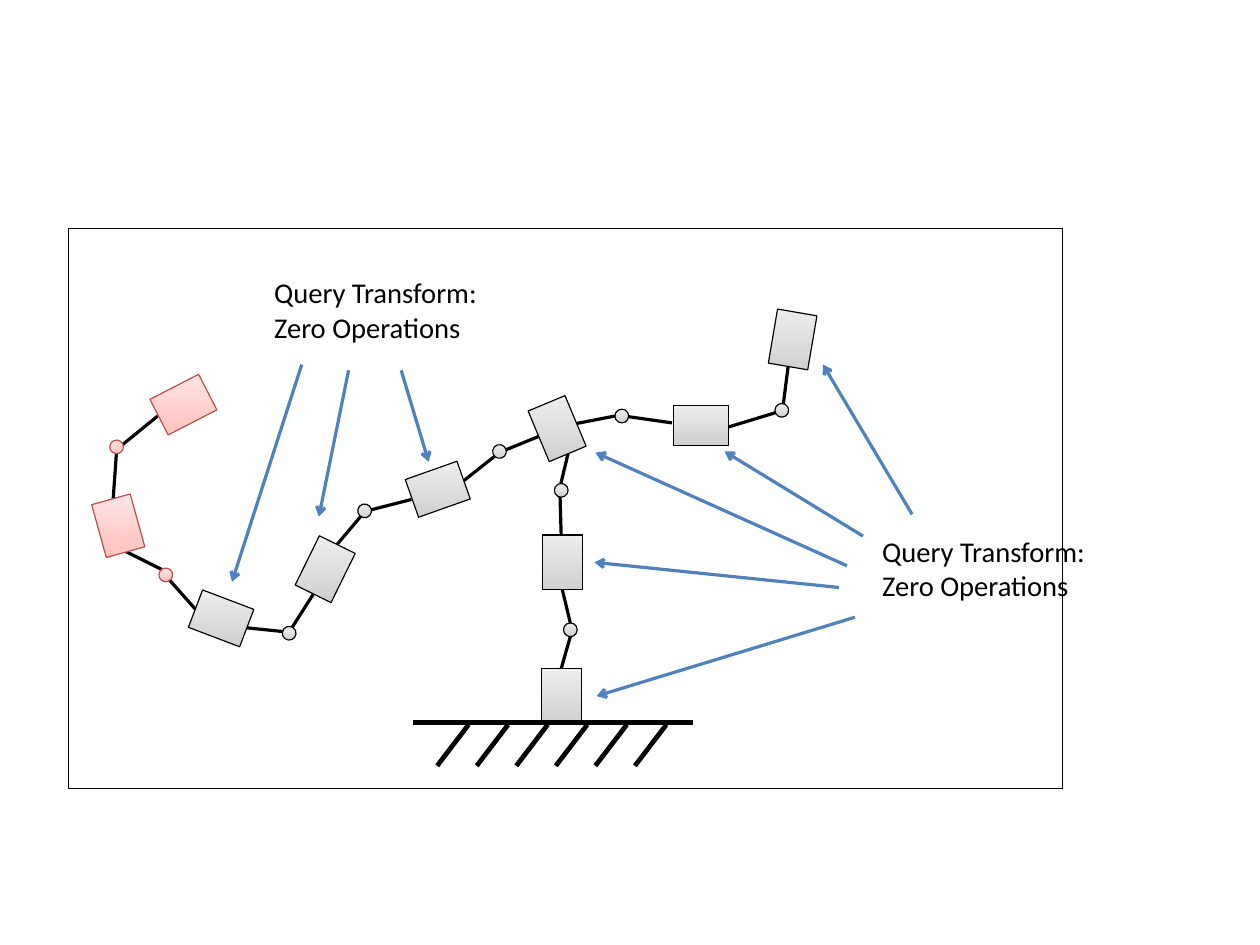
"""Build a slide of a jointed robot arm with its query transform costs."""
from lxml import etree
from pptx import Presentation
from pptx import util as u
from pptx.dml.color import RGBColor
from pptx.enum import shapes, text
from pptx.oxml.ns import qn

WIDE, HIGH = u.Cm(28), u.Cm(21)
FRAME = (6, 20, 87, 49)
BOX, JOINT = (3.5, 4.8), (1.2, 1.2)
HEX = {"ink": "000000", "blue": "4F81BD"}
TONES = {
    "gray": ("D0D0D0", "EDEDED", "000000"),
    "red": ("FFC1BE", "FFE5E5", "BE4B48"),
}
LINES = ("Query Transform:", "Zero Operations")
NOTES = [(76.2, 46.2, 20.5, 13), (23, 23.6, 24.2, 7)]

BOXES = {
    "gray": [
        (49.1, 60.9, 0), (49.2, 49.2, 0), (48.75, 37.5, 337.3),
        (38.3, 42.8, 250.5), (28.45, 49.8, 206.2), (19.35, 54.1, 290.8),
        (61.3, 37.2, 90), (69.35, 29.7, 9.7),
    ],
    "red": [(10.35, 46, 344.5), (16.05, 35.4, 242.8)],
}
JOINTS = {
    "gray": [
        (49.9, 55.1, 0), (49.1, 42.9, 0), (43.7, 39.5, 312.7),
        (31.9, 44.7, 312.7), (25.3, 55.4, 277.2), (54.4, 36.4, 0),
        (68.4, 35.9, 0),
    ],
    "red": [(14.5, 50.3, 277.2), (10.2, 39.1, 277.2)],
}
LINKS = [
    (69, 31.7, 68.5, 35.6), (68.2, 36, 63.6, 37.4),
    (58.8, 37, 54.6, 36.4), (53.8, 36.4, 50.2, 37.1),
    (49.7, 39.7, 49, 42.6), (49.1, 58.5, 49.9, 55.7),
    (49.2, 51.6, 49.9, 54.5), (49.1, 46.9, 49, 43.5),
    (47.1, 38.2, 43.9, 39.5), (31.8, 44.9, 29.1, 48.1),
    (43.3, 39.9, 40.4, 42.2), (36, 43.7, 32.1, 44.7),
    (27.4, 52, 25.3, 55.3), (13.8, 36.4, 10.6, 39),
    (10.2, 39.5, 9.9, 43.7), (10.9, 48.2, 14.3, 49.9),
    (21.3, 54.9, 25.2, 55.3), (14.7, 50.6, 17.1, 53.3),
]
ARROWS = [
    (79.8, 45, 72, 31.9), (75.5, 46.9, 63.4, 39.5),
    (74.1, 49.5, 52.1, 39.6), (73.4, 51.4, 52, 49.2),
    (74.8, 54, 52.2, 60.9), (26.4, 31.9, 20.3, 50.9),
    (30.5, 32.4, 27.9, 45.2), (35.1, 32.4, 37.5, 40.4),
]
GROUND = (36.1, 63.2, 60.6, 63.2)
HATCH = {"count": 6, "left": 41, "step": 3.46, "top": 63.4, "wide": 2.75, "high": 3.6}


def cells(*spans):
    """Turn grid cells of a tenth of an inch into slide lengths."""
    return [u.Inches(span / 10) for span in spans]


def draw_line(slide, ends, tint, width, arrow=False):
    """Draw one straight line, with an arrowhead at its end if asked."""
    line = slide.shapes.add_connector(shapes.MSO_CONNECTOR.STRAIGHT, *cells(*ends))
    line.line.color.rgb = RGBColor.from_string(HEX[tint])
    line.line.width = u.Pt(width)
    props = line._element.spPr
    if arrow:
        etree.SubElement(props.find(qn("a:ln")), qn("a:tailEnd"), type="arrow")
    etree.SubElement(props, qn("a:effectLst"))


def draw_shape(slide, kind, area, edge):
    """Add an outlined shape without a shadow."""
    shape = slide.shapes.add_shape(kind, *cells(*area))
    shape.shadow.inherit = False
    shape.line.color.rgb = RGBColor.from_string(edge)
    shape.line.width = u.Pt(0.75)
    return shape


def draw_part(slide, kind, size, tone, x, y, turn):
    """Add an arm part about its centre, shaded from the bottom up."""
    wide, high = size
    *shades, edge = TONES[tone]
    part = draw_shape(slide, kind, (x - wide / 2, y - high / 2, wide, high), edge)
    part.rotation = turn
    part.fill.gradient()
    part.fill.gradient_angle = (90 + turn) % 360
    for stop, shade in zip(part.fill.gradient_stops, shades):
        stop.color.rgb = RGBColor.from_string(shade)


def add_note(slide, area):
    """Add the two-line cost label."""
    frame = slide.shapes.add_textbox(*cells(*area)).text_frame
    frame.word_wrap = True
    frame.vertical_anchor = text.MSO_ANCHOR.TOP
    for row, words in enumerate(LINES):
        para = frame.add_paragraph() if row else frame.paragraphs[0]
        run = para.add_run()
        run.text = words
        run.font.name = "Calibri"
        run.font.size = u.Pt(18)
        run.font.color.rgb = RGBColor.from_string(HEX["ink"])


def main():
    """Compose and save the slide."""
    deck = Presentation()
    deck.slide_width, deck.slide_height = WIDE, HIGH
    slide = deck.slides.add_slide(deck.slide_layouts[6])
    kinds = shapes.MSO_SHAPE
    draw_shape(slide, kinds.RECTANGLE, FRAME, HEX["ink"]).fill.background()

    for link in LINKS:
        draw_line(slide, link, "ink", 2)
    for kind, size, groups in (
        (kinds.RECTANGLE, BOX, BOXES),
        (kinds.OVAL, JOINT, JOINTS),
    ):
        for tone, spots in groups.items():
            for spot in spots:
                draw_part(slide, kind, size, tone, *spot)

    draw_line(slide, GROUND, "ink", 3)
    top, base = HATCH["top"], HATCH["top"] + HATCH["high"]
    for col in range(HATCH["count"]):
        x = HATCH["left"] + col * HATCH["step"]
        draw_line(slide, (x - HATCH["wide"], base, x, top), "ink", 3)

    for arrow in ARROWS:
        draw_line(slide, arrow, "blue", 2, arrow=True)
    for area in NOTES:
        add_note(slide, area)
    deck.save("out.pptx")


if __name__ == "__main__":
    main()
